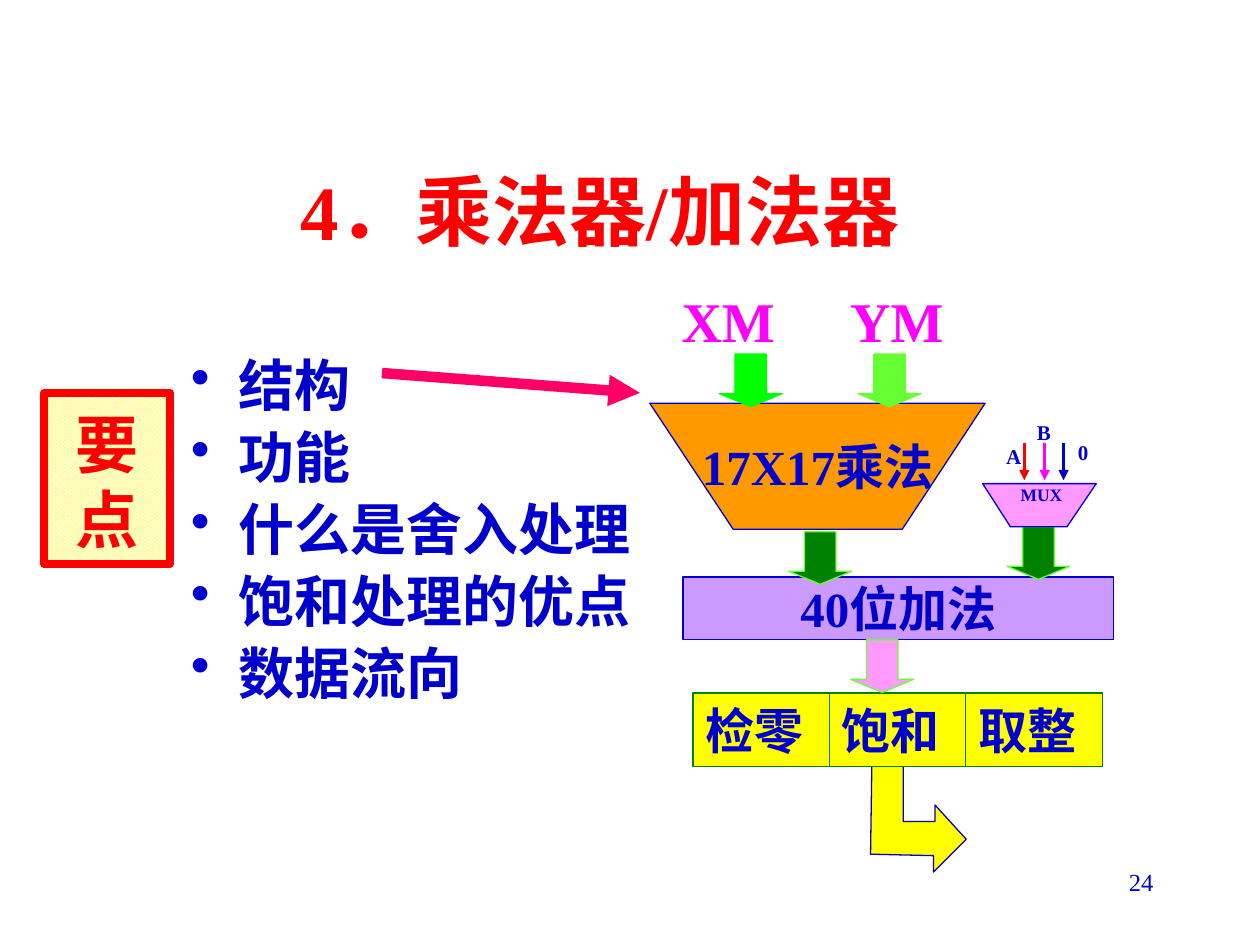
from dataclasses import dataclass

from lxml.etree import SubElement
from pptx import Presentation
from pptx.dml.color import RGBColor
from pptx.enum.dml import MSO_PATTERN
from pptx.enum.shapes import MSO_CONNECTOR, MSO_SHAPE
from pptx.enum.text import MSO_ANCHOR, PP_ALIGN
from pptx.oxml.ns import qn
from pptx.util import Cm, Pt

COLORS = {
    "red": "FF0000", "blue": "0000CC", "white": "FFFFFF", "yellow": "FFFF00",
    "orange": "FF9900", "lime": "00FF00", "leaf": "66FF33", "green": "008000",
    "violet": "CC99FF", "pink": "FF99FF", "magenta": "FF00FF", "rose": "FF0066",
}
SERIF = "Times New Roman"
SANS = "Noto Sans CJK SC"
Box = tuple[float, float, float, float]
Point = tuple[float, float]


@dataclass
class Label:
    """Text with its formatting; a line break starts a new paragraph."""
    text: str
    size: float
    color: str = "blue"
    font: str = SERIF
    bold: bool = True
    align: PP_ALIGN = PP_ALIGN.CENTER
    anchor: MSO_ANCHOR = MSO_ANCHOR.MIDDLE
    margins: Point = (0.25, 0.13)
    wrap: bool = True
    spacing: object = None
    gap: float = 0
    bullet: bool = False


@dataclass
class Arrow:
    """Straight arrow between two points."""
    start: Point
    end: Point
    color: str
    width: float


@dataclass
class BlockArrow:
    """Block arrow pointing down."""
    left: float
    top: float
    fill: str
    line: str


def rgb(name: str) -> RGBColor:
    """Return the named colour."""
    return RGBColor.from_string(COLORS[name])


def apply(target: object, values: dict) -> None:
    """Set each value as an attribute of the target."""
    for name, value in values.items():
        setattr(target, name, value)


def write(shape, label: Label) -> None:
    """Fill the shape with the label."""
    frame = shape.text_frame
    side, top = map(Cm, label.margins)
    apply(frame, {
        "word_wrap": label.wrap, "vertical_anchor": label.anchor,
        "margin_left": side, "margin_right": side,
        "margin_top": top, "margin_bottom": top,
    })
    for index, line in enumerate(label.text.split("\n")):
        paragraph = frame.add_paragraph() if index else frame.paragraphs[0]
        if label.bullet:
            properties = paragraph._p.get_or_add_pPr()
            properties.set("marL", str(Cm(0.95)))
            properties.set("indent", str(-Cm(0.95)))
            SubElement(properties, qn("a:buChar")).set("char", "•")
        apply(paragraph, {
            "alignment": label.align, "line_spacing": label.spacing,
            "space_before": Pt(label.gap if index else 0),
        })
        run = paragraph.add_run()
        run.text = line
        apply(run.font, {"size": Pt(label.size), "bold": label.bold, "name": label.font})
        run.font.color.rgb = rgb(label.color)
        SubElement(run._r.get_or_add_rPr(), qn("a:ea")).set("typeface", SANS)


def add_label(slide, box: Box, label: Label) -> None:
    """Add a text box."""
    write(slide.shapes.add_textbox(*map(Cm, box)), label)


def paint(shape, fill: str, line: str, width: float = 0.75) -> None:
    """Give the shape a plain fill and outline."""
    shape.shadow.inherit = False
    shape.fill.solid()
    shape.fill.fore_color.rgb = rgb(fill)
    shape.line.color.rgb = rgb(line)
    shape.line.width = Pt(width)


def add_block(slide, box: Box, fill: str, line: str, label: Label, width: float = 0.75):
    """Add a rectangle with a label."""
    shape = slide.shapes.add_shape(MSO_SHAPE.RECTANGLE, *map(Cm, box))
    paint(shape, fill, line, width)
    write(shape, label)
    return shape


def add_outline(slide, points: list[Point], fill: str):
    """Add a closed polygon."""
    corners = [(Cm(x), Cm(y)) for x, y in points]
    builder = slide.shapes.build_freeform(*corners[0])
    builder.add_line_segments(corners[1:], close=True)
    shape = builder.convert_to_shape()
    paint(shape, fill, "blue")
    return shape


def add_block_arrow(slide, arrow: BlockArrow) -> None:
    """Add a block arrow pointing down."""
    shape = slide.shapes.add_shape(
        MSO_SHAPE.DOWN_ARROW, Cm(arrow.left), Cm(arrow.top), Cm(1.27), Cm(1.06))
    shape.adjustments[0] = 0.5
    shape.adjustments[1] = 0.25
    paint(shape, arrow.fill, arrow.line)


def add_arrow(slide, arrow: Arrow) -> None:
    """Add a straight arrow."""
    connector = slide.shapes.add_connector(
        MSO_CONNECTOR.STRAIGHT, *map(Cm, arrow.start + arrow.end))
    connector.line.color.rgb = rgb(arrow.color)
    connector.line.width = Pt(arrow.width)
    SubElement(connector.line._get_or_add_ln(), qn("a:tailEnd")).set("type", "triangle")
    SubElement(connector._element.spPr, qn("a:effectLst"))


def add_points(slide) -> None:
    """Add the title, the key points and the page number."""
    top = MSO_ANCHOR.TOP
    add_label(slide, (4.65, 3.18, 15.24, 2.1), Label("4．乘法器/加法器 ", 44, "red"))
    add_label(slide, (3.6, 7.08, 10.16, 8.05), Label(
        "结构\n功能\n什么是舍入处理\n饱和处理的优点\n数据流向", 32, font=SANS,
        align=PP_ALIGN.LEFT, anchor=top, spacing=Pt(34.6), gap=6.4, bullet=True))
    add_label(slide, (18.2, 17.35, 5.3, 1.27), Label(
        "24", 14, bold=False, align=PP_ALIGN.RIGHT, anchor=top))
    key = add_block(slide, (0.89, 7.92, 2.54, 3.45), "yellow", "red", Label(
        "要\n点", 36, "red", SANS, anchor=top, margins=(0.25, 0.25), spacing=Pt(43.2)), 4.5)
    key.fill.patterned()
    apply(key.fill, {"pattern": MSO_PATTERN.SMALL_CHECKER_BOARD})
    key.fill.fore_color.rgb = rgb("yellow")
    key.fill.back_color.rgb = rgb("white")
    add_arrow(slide, Arrow((7.7, 7.52), (12.9, 7.92), "rose", 6))


def add_datapath(slide) -> None:
    """Add the multiplier, the adder and the result stages."""
    add_outline(slide, [
        (19.48, 16.92), (18.85, 16.23), (18.85, 16.56), (18.21, 16.56), (18.21, 15.24),
        (17.58, 15.24), (17.55, 17.22), (18.82, 17.25), (18.82, 17.58)], "yellow")
    multiplier = add_outline(
        slide, [(13.1, 8.13), (14.78, 10.67), (18.19, 10.67), (19.86, 8.13)], "orange")
    write(multiplier, Label("17X17乘法", 28, wrap=False))
    add_block(slide, (13.77, 11.63, 8.68, 1.27), "violet", "blue",
              Label("40位加法", 28, wrap=False))
    for index, stage in enumerate(("检零", "饱和", "取整")):
        add_block(slide, (13.97 + index * 2.75, 13.97, 2.75, 1.48), "yellow", "green",
                  Label(stage, 28, align=PP_ALIGN.LEFT))
    for arrow in (
        BlockArrow(14.5, 7.14, "lime", "lime"),
        BlockArrow(17.3, 7.14, "leaf", "leaf"),
        BlockArrow(15.9, 10.72, "green", "leaf"),
        BlockArrow(17.15, 12.9, "pink", "leaf"),
        BlockArrow(20.3, 10.62, "green", "leaf"),
    ):
        add_block_arrow(slide, arrow)
    for left, operand in ((13.49, "XM"), (16.89, "YM")):
        add_label(slide, (left, 5.79, 3.4, 1.4), Label(
            operand, 32, "magenta", align=PP_ALIGN.LEFT, anchor=MSO_ANCHOR.TOP, spacing=0.9))


def add_multiplexer(slide) -> None:
    """Add the multiplexer and its three inputs."""
    add_outline(slide, [(19.81, 9.75), (20.37, 10.62), (21.51, 10.62), (22.1, 9.75)], "pink")
    compact = {"margins": (0, 0), "anchor": MSO_ANCHOR.TOP}
    add_label(slide, (19.99, 9.75, 2.01, 0.43), Label("MUX", 10, **compact))
    for name, left, top, x, color in (
        ("A", 19.94, 8.94, 20.65, "red"),
        ("B", 20.55, 8.46, 21.06, "magenta"),
        ("0", 21.34, 8.86, 21.44, "blue"),
    ):
        add_arrow(slide, Arrow((x, 8.94), (x, 9.68), color, 1.5))
        add_label(slide, (left, top, 0.99, 0.51), Label(name, 12, **compact))


def main() -> None:
    """Build and save the slide."""
    presentation = Presentation()
    apply(presentation, {"slide_width": Cm(25.4), "slide_height": Cm(19.05)})
    slide = presentation.slides.add_slide(presentation.slide_layouts[6])
    for add_part in (add_points, add_datapath, add_multiplexer):
        add_part(slide)
    presentation.save("out.pptx")


if __name__ == "__main__":
    main()
